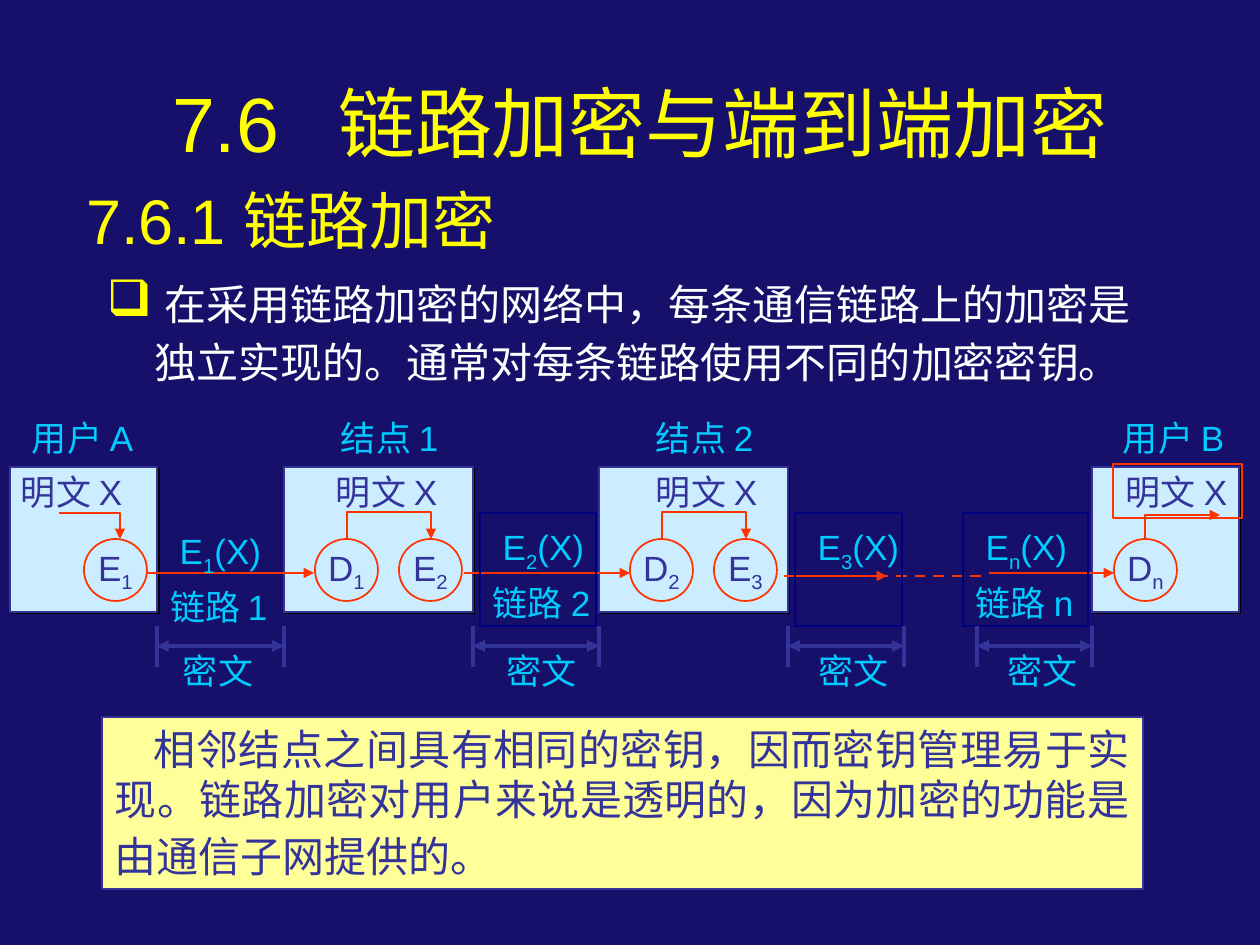
from lxml.etree import SubElement
from pptx import Presentation
from pptx.dml.color import RGBColor
from pptx.enum.dml import MSO_LINE
from pptx.enum.shapes import MSO_CONNECTOR, MSO_SHAPE
from pptx.enum.text import MSO_ANCHOR, MSO_AUTO_SIZE, PP_ALIGN
from pptx.oxml.ns import qn
from pptx.util import Pt

PX = 914400 / 126  # EMU in one pixel
LATIN, CHINESE = "Arial", "Noto Sans CJK SC"
BACKGROUND, YELLOW, WHITE = "16106B", "FFFF01", "FFFFFF"
INDIGO, CYAN, RED, NAVY = "333399", "00CCFF", "FF3300", "000080"
PALE_BLUE, PALE_YELLOW = "CCECFF", "FFFF99"


def px(*lengths):
    return [round(length * PX) for length in lengths]


def color(value):
    return RGBColor.from_string(value)


def add_span(para, text, size, shade, font=LATIN, subscript=False):
    span = para.add_run()
    span.text = text
    span.font.size = Pt(size)
    span.font.name = font
    span.font.color.rgb = color(shade)
    properties = span._r.get_or_add_rPr()
    SubElement(properties, qn("a:ea"), typeface=CHINESE)
    if subscript:
        properties.set("baseline", "-25000")


def set_frame(shape, wrap=False, anchor=MSO_ANCHOR.TOP, top=6):
    """Set wrapping, anchor and insets; return the first paragraph."""
    frame = shape.text_frame
    frame.auto_size = MSO_AUTO_SIZE.NONE
    frame.word_wrap = wrap
    frame.vertical_anchor = anchor
    frame.margin_left, frame.margin_right = px(13, 13)
    frame.margin_top, frame.margin_bottom = px(top, 6)
    para = frame.paragraphs[0]
    para.alignment = PP_ALIGN.LEFT
    return para


def set_indent(para, first, left=0):
    properties = para._p.get_or_add_pPr()
    for name, value in zip(("marL", "indent"), px(left, first)):
        properties.set(name, str(value))
    return properties


def add_preset(slide, kind, box, line, fill=None, width=1):
    shape = slide.shapes.add_shape(kind, *px(*box))
    shape.shadow.inherit = False
    if fill:
        shape.fill.solid()
        shape.fill.fore_color.rgb = color(fill)
    else:
        shape.fill.background()
    shape.line.color.rgb = color(line)
    shape.line.width = Pt(width)
    return shape


def add_arrowheads(line, *ends):
    for end in ends:
        SubElement(line.line._get_or_add_ln(), qn(f"a:{end}"), type="triangle")


def add_line(slide, start, end, shade, width, ends=(), dashed=False):
    line = slide.shapes.add_connector(MSO_CONNECTOR.STRAIGHT, *px(*start, *end))
    line.line.color.rgb = color(shade)
    line.line.width = Pt(width)
    if dashed:
        line.line.dash_style = MSO_LINE.DASH
    add_arrowheads(line, *ends)
    SubElement(line._element.spPr, qn("a:effectLst"))


def add_label(slide, text, left, top, width, shade):
    box = slide.shapes.add_textbox(*px(left, top, width, 55))
    add_span(set_frame(box), text, 20, shade)


def add_elbow(slide, points):
    builder = slide.shapes.build_freeform(*points[0], scale=PX)
    builder.add_line_segments(points[1:], close=False)
    elbow = builder.convert_to_shape()
    elbow.shadow.inherit = False
    elbow.fill.background()
    elbow.line.color.rgb = color(RED)
    elbow.line.width = Pt(1)
    add_arrowheads(elbow, "tailEnd")


def add_station(slide, left, width):
    """Draw the panel of a user or node, with its hard shadow."""
    panel = add_preset(slide, MSO_SHAPE.RECTANGLE, (left, 467, width, 145), INDIGO, PALE_BLUE)
    effects = panel._element.spPr.find(qn("a:effectLst"))
    shadow = SubElement(effects, qn("a:outerShdw"), dist=str(Pt(1.4)), dir="2700000")
    SubElement(shadow, qn("a:srgbClr"), val="000000")


def add_cipher(slide, left, letter, index):
    circle = add_preset(slide, MSO_SHAPE.OVAL, (left, 539, 63, 62), RED)
    para = set_frame(circle, anchor=MSO_ANCHOR.MIDDLE)
    para.alignment = PP_ALIGN.CENTER
    add_span(para, letter, 20, INDIGO)
    add_span(para, index, 20, INDIGO, subscript=True)


def add_link_label(slide, box, index, name, outlined=True):
    if outlined:
        shape = add_preset(slide, MSO_SHAPE.RECTANGLE, box, NAVY)
    else:
        shape = slide.shapes.add_textbox(*px(*box))
    para = set_frame(shape, top=3 if outlined else 6)
    para.line_spacing = 1.2
    add_span(para, " E", 20, CYAN)
    add_span(para, index, 20, CYAN, subscript=True)
    add_span(para, "(X)", 20, CYAN)
    if name:
        para = shape.text_frame.add_paragraph()
        para.alignment = PP_ALIGN.LEFT
        para.line_spacing = 1.2
        add_span(para, name, 20, CYAN)


def add_cipher_span(slide, left, right, label_left):
    """Draw the dimension marks of one stretch of ciphertext."""
    for edge in (left, right):
        add_line(slide, (edge, 626), (edge, 667), INDIGO, 2.25)
    add_line(slide, (left, 646), (right, 646), INDIGO, 2.25, ("headEnd", "tailEnd"))
    add_label(slide, "密文", label_left, 643, 95, CYAN)


def add_title(slide):
    title = slide.shapes.title
    title.left, title.top, title.width, title.height = px(73, 73, 1113, 189)
    para = set_frame(title, wrap=True, anchor=MSO_ANCHOR.MIDDLE)
    properties = set_indent(para, 86)
    tabs = SubElement(properties, qn("a:tabLst"))
    SubElement(tabs, qn("a:tab"), pos=str(px(254)[0]), algn="l")
    add_span(para, "7.6\t链路加密与端到端加密", 44, YELLOW)
    para.add_line_break()
    add_span(para, "7.6.1 链路加密", 36, YELLOW)
    add_span(para, " ", 44, YELLOW)


def add_bullet_text(slide):
    box = slide.shapes.add_textbox(*px(94, 273, 1071, 126))
    para = set_frame(box, wrap=True)
    properties = set_indent(para, -48, 48)
    bullet_color = SubElement(properties, qn("a:buClr"))
    SubElement(bullet_color, qn("a:srgbClr"), val="FFFF00")
    SubElement(properties, qn("a:buSzPct"), val="120000")
    SubElement(properties, qn("a:buChar"), char="❑")
    add_span(para, " ", 24, WHITE)
    add_span(para, "在采用链路加密的网络中，每条通信链路上的加密是独立实现的。"
             "通常对每条链路使用不同的加密密钥。", 24, WHITE, CHINESE)
    add_span(para, " ", 28, WHITE, CHINESE)


def add_summary(slide):
    box = add_preset(slide, MSO_SHAPE.RECTANGLE, (102, 717, 1041, 172), INDIGO, PALE_YELLOW, 0.75)
    para = set_frame(box, wrap=True)
    para.alignment = PP_ALIGN.JUSTIFY
    set_indent(para, 39)
    add_span(para, "相邻结点之间具有相同的密钥，因而密钥管理易于实现。链路加密对用户来说是透明的，"
             "因为加密的功能是由通信子网提供的。", 24, INDIGO, CHINESE)
    add_span(para, " ", 28, INDIGO, CHINESE)


def main():
    deck = Presentation()
    deck.slide_width, deck.slide_height = px(1260, 945)
    slide = deck.slides.add_slide(deck.slide_layouts[5])
    slide.background.fill.solid()
    slide.background.fill.fore_color.rgb = color(BACKGROUND)
    add_title(slide)
    add_bullet_text(slide)

    for number, left, plain_left, name_left in ((1, 284, 323, 328), (2, 599, 643, 643)):
        add_station(slide, left, 189)
        add_cipher(slide, left + 31, "D", str(number))
        add_cipher(slide, left + 115, "E", str(number + 1))
        add_elbow(slide, [(left + 63, 539), (left + 63, 512), (left + 147, 512), (left + 147, 539)])
        add_label(slide, "明文 X", plain_left, 464, 135, INDIGO)
        add_label(slide, f"结点 {number}", name_left, 410, 131, CYAN)

    add_station(slide, 1092, 147)
    add_cipher(slide, 1114, "D", "n")
    add_elbow(slide, [(1145, 539), (1145, 515), (1220, 515)])
    received = add_preset(slide, MSO_SHAPE.RECTANGLE, (1113, 464, 129, 54), RED)
    add_span(set_frame(received, anchor=MSO_ANCHOR.MIDDLE), "明文 X", 20, INDIGO)
    add_label(slide, "用户 B", 1110, 410, 135, CYAN)

    add_station(slide, 10, 147)
    add_cipher(slide, 84, "E", "1")
    add_elbow(slide, [(59, 513), (120, 513), (120, 539)])
    add_label(slide, "明文 X", 8, 464, 135, INDIGO)
    add_label(slide, "用户 A", 19, 410, 135, CYAN)

    for start, end in ((147, 314), (464, 630), (989, 1114)):
        add_line(slide, (start, 573), (end, 573), RED, 1, ("tailEnd",))
    add_line(slide, (784, 576), (887, 576), RED, 1.5, ("tailEnd",))
    add_line(slide, (878, 576), (985, 576), RED, 1.5, dashed=True)

    add_link_label(slide, (157, 514, 131, 121), "1", "链路 1", outlined=False)
    add_link_label(slide, (480, 513, 116, 113), "2", "链路 2")
    add_link_label(slide, (963, 513, 125, 113), "n", "链路 n")
    add_link_label(slide, (795, 513, 107, 113), "3", None)

    for left, right, label_left in ((157, 284, 170), (473, 599, 494),
                                    (788, 904, 805), (977, 1092, 994)):
        add_cipher_span(slide, left, right, label_left)
    add_summary(slide)
    deck.save("out.pptx")


if __name__ == "__main__":
    main()
